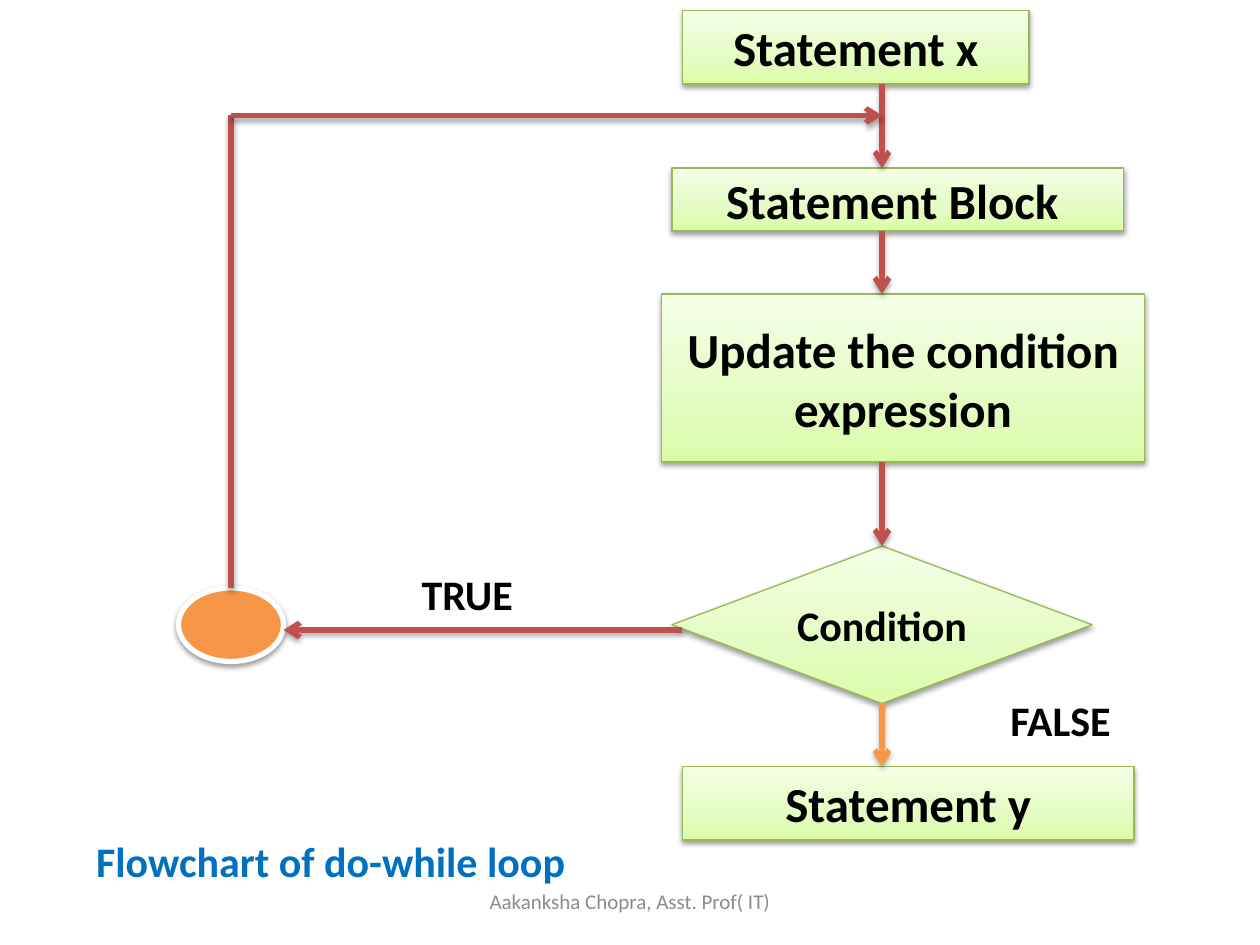
from lxml import etree
from pptx import Presentation
from pptx.dml.color import RGBColor
from pptx.enum.shapes import MSO_CONNECTOR, MSO_SHAPE
from pptx.enum.text import MSO_ANCHOR, MSO_AUTO_SIZE, PP_ALIGN
from pptx.oxml.ns import qn
from pptx.util import Emu, Pt

RECT = MSO_SHAPE.RECTANGLE
DECISION = MSO_SHAPE.FLOWCHART_DECISION
CIRCLE = MSO_SHAPE.FLOWCHART_CONNECTOR
STRAIGHT = MSO_CONNECTOR.STRAIGHT
TOP, BOTTOM = 0, 2

EMU_PER_PX = 7620  # 120 px to the inch
FONT = "Calibri"
COLORS = {
    "text": "000000",
    "title": "0070C0",
    "footer": "8C8C8C",
    "paper": "FFFFFF",
    "node_line": "98B955",
    "flow": "C0504D",
    "exit": "F79646",
    "shadow": "000000",
}
NODE_STOPS = [(0, "DAFDA7"), (35, "E4FCC2"), (100, "F5FFE7")]
FLOW_X = 840
LOOP_X = 220
LOOP_Y = 110


def px(n):
    return Emu(n * EMU_PER_PX)


def rgb(name):
    return RGBColor.from_string(COLORS[name])


def sub(parent, tag, **attrs):
    return etree.SubElement(parent, qn(tag), {k: str(v) for k, v in attrs.items()})


def add_shadow(s, alpha, dist):
    """Add a soft shadow straight below; alpha in percent, dist in points."""
    effects = sub(s._element.spPr, "a:effectLst")
    shadow = sub(effects, "a:outerShdw", blurRad=Pt(3.1), dist=Pt(dist),
                 dir=5400000, rotWithShape=0)
    color = sub(shadow, "a:srgbClr", val=COLORS["shadow"])
    sub(color, "a:alpha", val=alpha * 1000)


def fill_node(s):
    """Fill with the three-stop green gradient, darkest at the bottom."""
    s.fill.gradient()
    s.fill.gradient_angle = 90
    stops = s._element.spPr.find(qn("a:gradFill")).find(qn("a:gsLst"))
    for stop in list(stops):
        stops.remove(stop)
    for pos, color in NODE_STOPS:
        sub(sub(stops, "a:gs", pos=pos * 1000), "a:srgbClr", val=color)


def write(s, text, size, color="text", bold=True):
    tf = s.text_frame
    tf.word_wrap = True
    tf.auto_size = MSO_AUTO_SIZE.NONE
    tf.vertical_anchor = MSO_ANCHOR.MIDDLE
    p = tf.paragraphs[0]
    p.alignment = PP_ALIGN.CENTER
    r = p.add_run()
    r.text = text
    r.font.name = FONT
    r.font.size = Pt(size)
    r.font.bold = bold
    r.font.color.rgb = rgb(color)


def add_shape(slide, kind, box):
    return slide.shapes.add_shape(kind, *map(px, box))


def add_node(slide, text, box, kind=RECT, size=28):
    s = add_shape(slide, kind, box)
    fill_node(s)
    s.line.color.rgb = rgb("node_line")
    s.line.width = Pt(0.75)
    add_shadow(s, 38, 1.6)
    write(s, text, size)
    return s


def add_label(slide, text, box):
    s = add_shape(slide, RECT, box)
    s.shadow.inherit = False
    s.fill.solid()
    s.fill.fore_color.rgb = rgb("paper")
    s.line.fill.background()
    write(s, text, 24)


def add_junction(slide, box):
    s = add_shape(slide, CIRCLE, box)
    s.fill.solid()
    s.fill.fore_color.rgb = rgb("exit")
    s.line.color.rgb = rgb("paper")
    s.line.width = Pt(3)
    add_shadow(s, 38, 1.6)
    return s


def add_line(slide, start, end, color="flow", arrow=True):
    c = slide.shapes.add_connector(STRAIGHT, *map(px, start + end))
    c.line.color.rgb = rgb(color)
    c.line.width = Pt(3)
    if arrow:
        sub(c.line._get_or_add_ln(), "a:tailEnd", type="arrow")
    add_shadow(c, 35, 1.8)
    return c


def add_down_arrow(slide, top, bottom, color="flow"):
    return add_line(slide, (FLOW_X, top), (FLOW_X, bottom), color)


def add_title(slide, text, box):
    s = slide.shapes.title
    s.left, s.top, s.width, s.height = map(px, box)
    s.fill.solid()
    s.fill.fore_color.rgb = rgb("paper")
    write(s, text, 24, "title")


def add_footer(slide, text, box):
    s = slide.shapes.add_textbox(*map(px, box))
    write(s, text, 12, "footer", bold=False)


def main():
    prs = Presentation()
    prs.slide_width, prs.slide_height = px(1200), px(900)
    slide = prs.slides.add_slide(prs.slide_layouts[5])

    add_title(slide, "Flowchart of do-while loop", (0, 790, 630, 60))
    add_footer(slide, "Aakanksha Chopra, Asst. Prof( IT)", (410, 834, 380, 48))

    add_node(slide, "Statement x", (650, 10, 330, 70))
    add_node(slide, "Statement Block ", (640, 160, 430, 60))
    add_node(slide, "Update the condition expression", (630, 280, 460, 160))
    condition = add_node(slide, "Condition", (640, 520, 400, 150), DECISION, 24)
    add_node(slide, "Statement y", (650, 730, 430, 70))
    junction = add_junction(slide, (170, 560, 100, 70))

    add_label(slide, "TRUE", (360, 550, 170, 30))
    add_label(slide, "FALSE", (940, 670, 140, 30))

    add_down_arrow(slide, 80, 160)
    add_down_arrow(slide, 220, 280)
    add_down_arrow(slide, 440, 520).end_connect(condition, TOP)
    add_down_arrow(slide, 670, 730, "exit").begin_connect(condition, BOTTOM)

    add_line(slide, (650, 600), (270, 600))
    riser = add_line(slide, (LOOP_X, 560), (LOOP_X, LOOP_Y), arrow=False)
    riser.begin_connect(junction, TOP)
    add_line(slide, (LOOP_X, LOOP_Y), (FLOW_X, LOOP_Y))

    prs.save("out.pptx")


if __name__ == "__main__":
    main()
